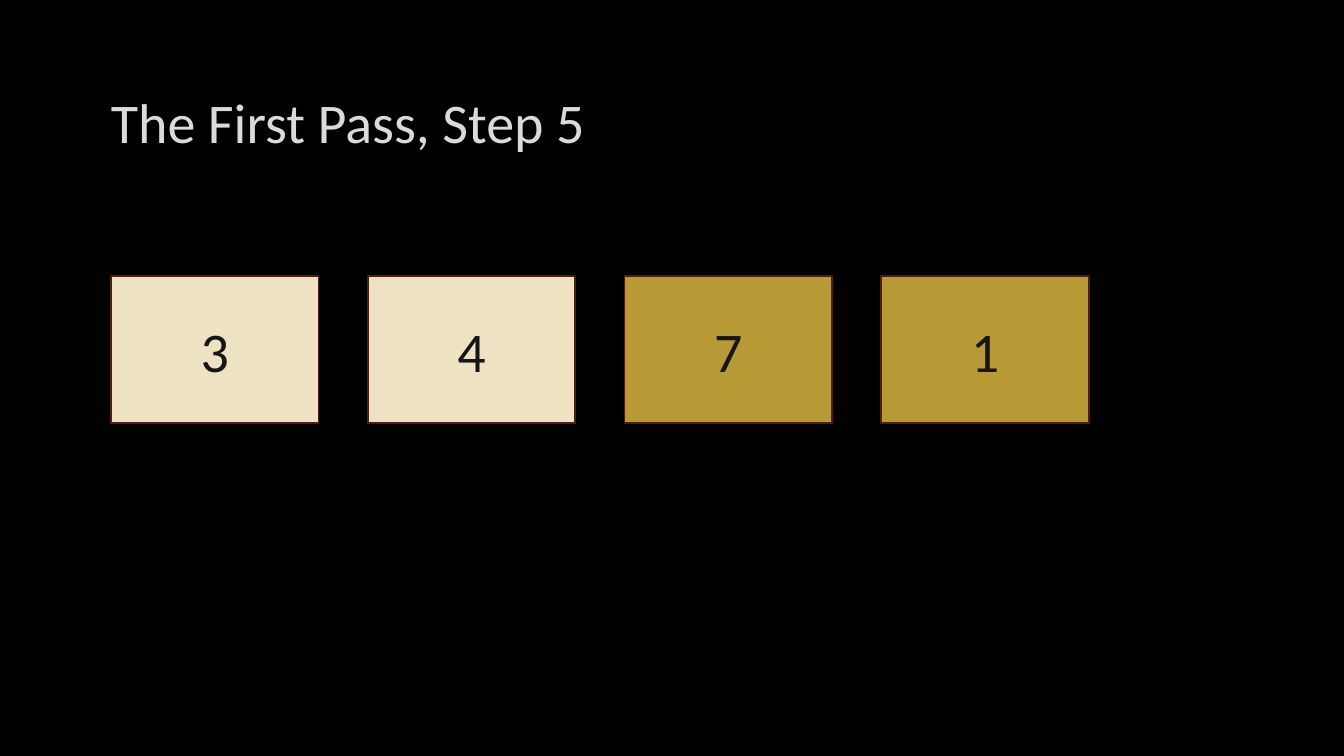
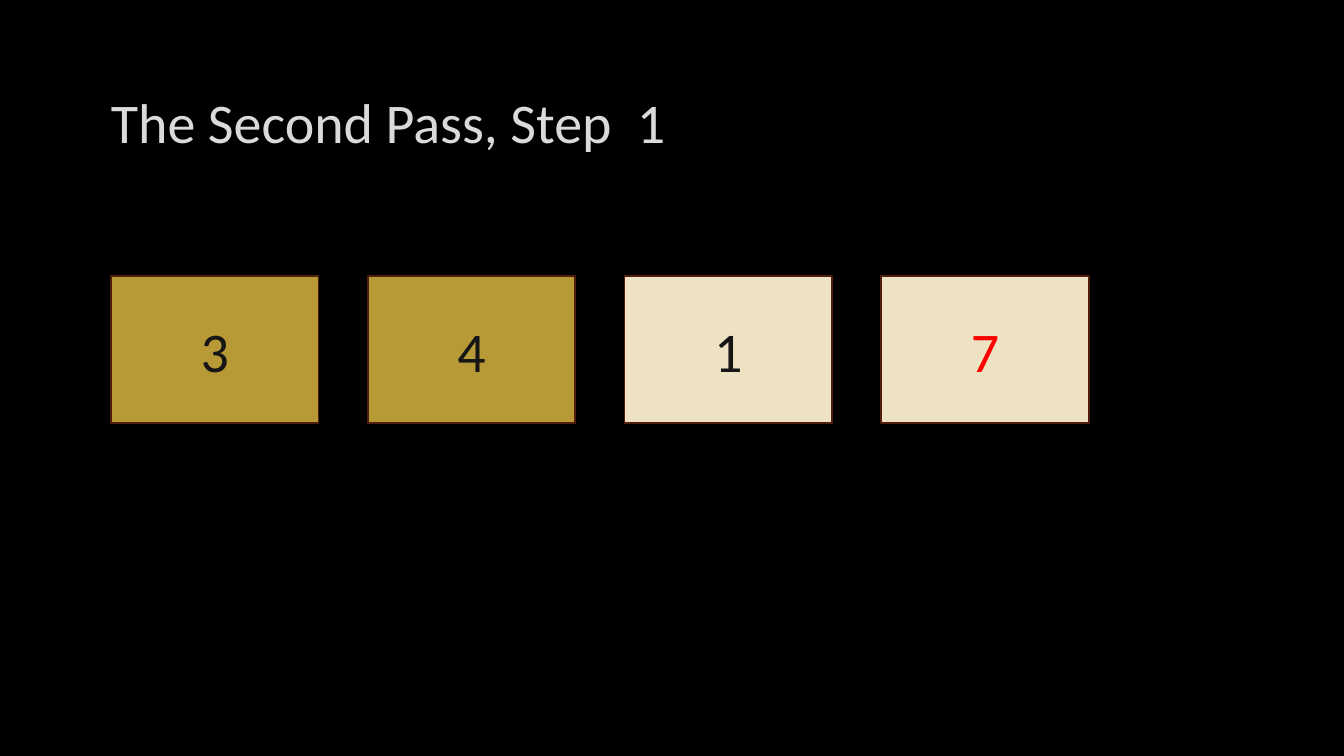
from lxml.etree import SubElement
from pptx import Presentation
from pptx.dml.color import RGBColor
from pptx.enum.shapes import MSO_SHAPE
from pptx.enum.text import MSO_ANCHOR, MSO_AUTO_SIZE, PP_ALIGN
from pptx.oxml.ns import qn
from pptx.util import Inches, Pt

FONT = "Calibri"
BLACK, INK, RED = "000000", "161616", "FF0000"
TITLE_COLOR, TITLE_EDGE = "DADADA", "404040"
IDLE, ACTIVE, CELL_EDGE = "EDE3C3", "B79935", "521E0C"

ROW_LEFT, ROW_RIGHT, ROW_TOP = 1.1, 10.8, 2.74
CELL_WIDTH, CELL_HEIGHT = 2.06, 1.46

STEPS = [
    ("The First Pass, Step 5",
     [("3", IDLE, INK), ("4", IDLE, INK), ("7", ACTIVE, INK), ("1", ACTIVE, INK)]),
    ("The Second Pass, Step  1",
     [("3", ACTIVE, INK), ("4", ACTIVE, INK), ("1", IDLE, INK), ("7", IDLE, RED)]),
]


def color(value):
    """Turn a hex string into a colour."""
    return RGBColor.from_string(value)


def paint(target, value):
    """Give a background, shape or line one solid colour."""
    target.fill.solid()
    target.fill.fore_color.rgb = color(value)


def write(shape, text, size=40, ink=INK, align=PP_ALIGN.CENTER):
    """Put one formatted line of text in a shape and return its span."""
    frame = shape.text_frame
    frame.vertical_anchor = MSO_ANCHOR.MIDDLE
    frame.word_wrap = True
    frame.auto_size = MSO_AUTO_SIZE.NONE
    para = frame.paragraphs[0]
    para.alignment = align
    span = para.add_run()
    span.text = text
    span.font.name = FONT
    span.font.size = Pt(size)
    span.font.color.rgb = color(ink)
    return span


def outline(span, value, width=0.75, opacity=10):
    """Draw a faint edge around the letters of a span."""
    edge = SubElement(span.font._element, qn("a:ln"), w=str(Pt(width)))
    span.font._element.insert(0, edge)
    fill = SubElement(edge, qn("a:solidFill"))
    tone = SubElement(fill, qn("a:srgbClr"), val=value)
    SubElement(tone, qn("a:alpha"), val=str(opacity * 1000))


def style_deck(deck):
    """Set the shared background and title place, and return the layout."""
    paint(deck.slide_master.background, BLACK)
    layout = deck.slide_layouts.get_by_name("Title Only")
    title = layout.placeholders[0]
    title.left, title.top = Inches(1), Inches(0.67)
    title.width, title.height = Inches(11.32), Inches(1.06)
    return layout


def add_title(page, text):
    """Fill the title placeholder."""
    span = write(page.shapes.title, text, ink=TITLE_COLOR, align=PP_ALIGN.LEFT)
    outline(span, TITLE_EDGE)


def add_cell(page, left, text, fill, ink):
    """Add one array cell to the row."""
    box = page.shapes.add_shape(
        MSO_SHAPE.RECTANGLE, Inches(left), Inches(ROW_TOP),
        Inches(CELL_WIDTH), Inches(CELL_HEIGHT))
    box.shadow.inherit = False
    paint(box, fill)
    paint(box.line, CELL_EDGE)
    box.line.width = Pt(1.25)
    write(box, text, ink=ink)


def add_array(page, cells):
    """Spread the array cells evenly between the row's two ends."""
    pitch = (ROW_RIGHT - ROW_LEFT - CELL_WIDTH) / (len(cells) - 1)
    for column, (text, fill, ink) in enumerate(cells):
        add_cell(page, ROW_LEFT + column * pitch, text, fill, ink)


def main():
    """Build one page for each sorting step."""
    deck = Presentation()
    deck.slide_width, deck.slide_height = Inches(13.33), Inches(7.5)
    layout = style_deck(deck)
    for title, cells in STEPS:
        page = deck.slides.add_slide(layout)
        add_title(page, title)
        add_array(page, cells)
    deck.save("out.pptx")


if __name__ == "__main__":
    main()
